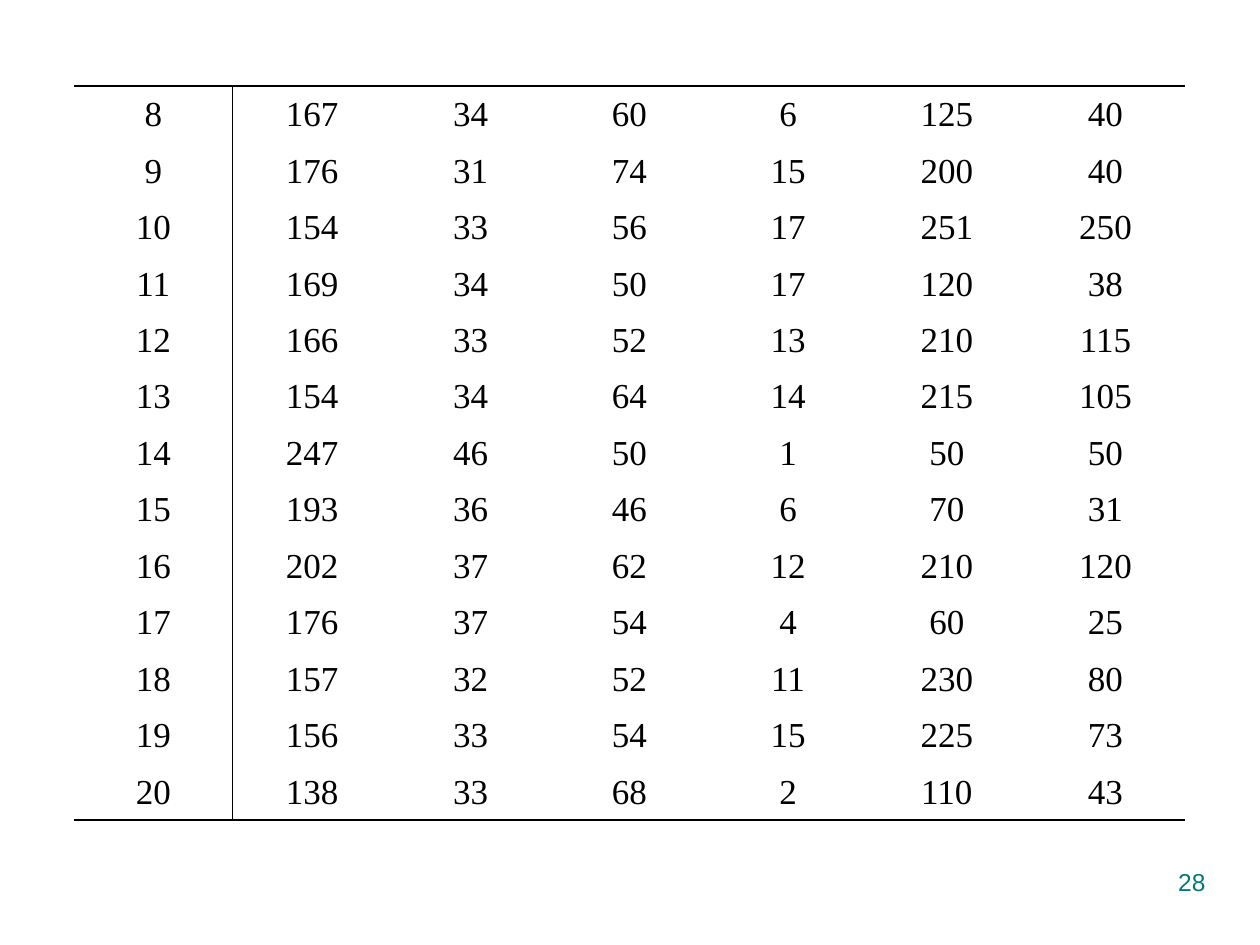
from lxml.etree import SubElement
from pptx import Presentation
from pptx.dml.color import RGBColor
from pptx.enum.text import MSO_ANCHOR as Anchor, PP_ALIGN as Align
from pptx.oxml.ns import qn
from pptx.util import Emu, Pt

BLACK = RGBColor(0x00, 0x00, 0x00)
TEAL = RGBColor(0x00, 0x7A, 0x77)
PX_PER_INCH = 126
BORDER_WIDTH = Pt(1)

MEASUREMENTS = [
    (8, 167, 34, 60, 6, 125, 40),
    (9, 176, 31, 74, 15, 200, 40),
    (10, 154, 33, 56, 17, 251, 250),
    (11, 169, 34, 50, 17, 120, 38),
    (12, 166, 33, 52, 13, 210, 115),
    (13, 154, 34, 64, 14, 215, 105),
    (14, 247, 46, 50, 1, 50, 50),
    (15, 193, 36, 46, 6, 70, 31),
    (16, 202, 37, 62, 12, 210, 120),
    (17, 176, 37, 54, 4, 60, 25),
    (18, 157, 32, 52, 11, 230, 80),
    (19, 156, 33, 54, 15, 225, 73),
    (20, 138, 33, 68, 2, 110, 43),
]
CELL_FORMAT = {
    "margin_left": 1, "margin_right": 1, "margin_top": 1, "margin_bottom": 0,
}
CELL_FONT = {"name": "Times New Roman", "size": Pt(20)}
NUMBER_FONT = {"name": "Arial", "size": Pt(14)}


def px(length):
    return Emu(round(length * 914400 / PX_PER_INCH))


def write(frame, words, align, font, color):
    para = frame.paragraphs[0]
    para.alignment = align
    span = para.add_run()
    span.text = str(words)
    for name, value in font.items():
        setattr(span.font, name, value)
    span.font.color.rgb = color


def set_borders(cell, shown):
    """Draw the sides for which shown is true and clear the others."""
    properties = cell._tc.get_or_add_tcPr()
    for side in "LRTB":
        line = SubElement(properties, qn(f"a:ln{side}"), w=str(BORDER_WIDTH))
        if shown[side]:
            fill = SubElement(line, qn("a:solidFill"))
            SubElement(fill, qn("a:srgbClr"), val=str(BLACK))
        else:
            SubElement(line, qn("a:noFill"))


def add_measurements(page, left, top, width, height):
    """Add the table, ruled above, below and after its first column."""
    row_count, column_count = len(MEASUREMENTS), len(MEASUREMENTS[0])
    table = page.shapes.add_table(
        row_count, column_count, px(left), px(top), px(width), px(height)).table
    table.first_row = table.horz_banding = False
    for column in table.columns:
        column.width = px(width / column_count)
    for r, values in enumerate(MEASUREMENTS):
        table.rows[r].height = px(height / row_count)
        for c, value in enumerate(values):
            cell = table.cell(r, c)
            for name, length in CELL_FORMAT.items():
                setattr(cell, name, px(length))
            cell.vertical_anchor = Anchor.MIDDLE
            set_borders(cell, {"L": c == 1, "R": c == 0,
                               "T": r == 0, "B": r == row_count - 1})
            cell.fill.background()
            write(cell.text_frame, value, Align.CENTER, CELL_FONT, BLACK)


def add_page_number(page, left, top, width, height):
    box = page.shapes.add_textbox(px(left), px(top), px(width), px(height))
    box.text_frame.word_wrap = True
    write(box.text_frame, 28, Align.RIGHT, NUMBER_FONT, TEAL)


def main():
    deck = Presentation()
    deck.slide_width, deck.slide_height = px(1260), px(945)
    page = deck.slides.add_slide(deck.slide_layouts[6])
    add_measurements(page, 74, 86, 1111, 734)
    add_page_number(page, 903, 861, 315, 66)
    deck.save("out.pptx")


if __name__ == "__main__":
    main()
